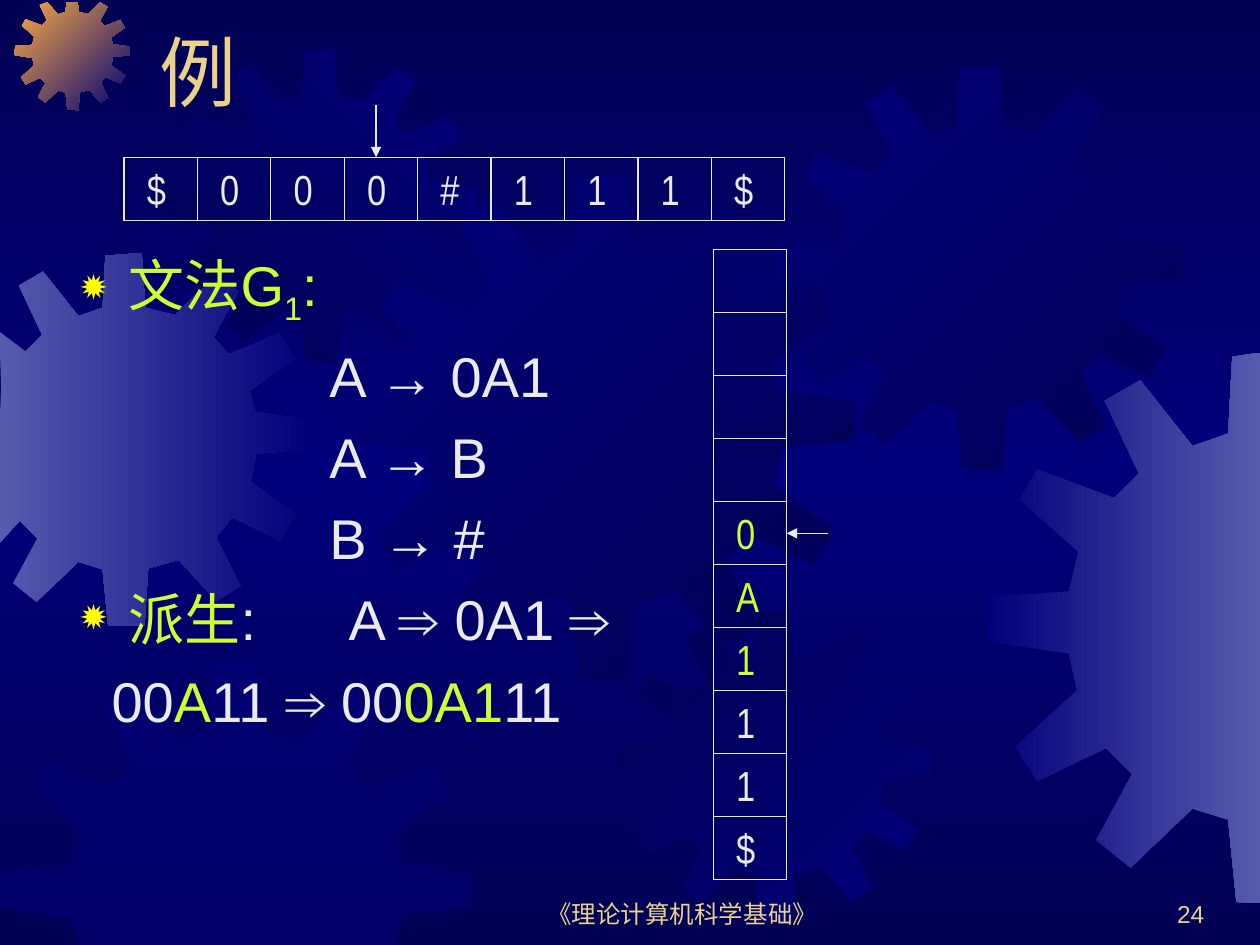
from copy import deepcopy
from typing import NamedTuple, Optional

from lxml import etree
from pptx import Presentation
from pptx import util as u
from pptx.dml.color import RGBColor
from pptx.enum import shapes, text
from pptx.oxml.ns import qn

HUES = {
    "dark": "000054", "navy": "00007A", "steel": "555BAD", "amber": "FCAB40",
    "sand": "EBD189", "lime": "CCFF33", "pale": "EAEAEA", "sun": "FFFF00",
}
WIDE, HIGH = 25.4, 19.05
CELL_W, CELL_H = 1.48, 1.27
ROW_X, ROW_Y = 2.5, 3.17
STACK_X, STACK_Y = 14.38, 5.03

TEETH = [
    (255, 67), (223, 59), (219, 0), (180, 3), (177, 59), (151, 68),
    (113, 20), (87, 35), (112, 88), (94, 106), (38, 85), (25, 107),
    (68, 145), (61, 174), (1, 178), (0, 210), (61, 219), (67, 246),
    (22, 287), (38, 312), (88, 288), (107, 307), (81, 355), (106, 375),
    (151, 332), (177, 340), (183, 400), (222, 401), (226, 339), (259, 330),
    (299, 374), (325, 358), (299, 306), (316, 284), (368, 309), (384, 281),
    (336, 246), (342, 216), (401, 210), (400, 180), (341, 171), (335, 148),
    (383, 114), (367, 87), (313, 109), (296, 91), (323, 41), (297, 25),
]
SPAN = 401


class Gear(NamedTuple):
    x: float
    y: float
    size: float
    start: str
    end: Optional[str] = None
    turn: int = 0


class Label(NamedTuple):
    x: float
    y: float
    w: float
    h: float
    words: str
    size: int
    align: text.PP_ALIGN


class Line(NamedTuple):
    runs: list
    left: float
    bullet: bool = False
    tab: Optional[float] = None


class Arrow(NamedTuple):
    x1: float
    y1: float
    x2: float
    y2: float


GEARS = [
    Gear(-1.25, 5.1, 7.52, "steel", "navy"),
    Gear(0.3, -0.1, 2.32, "amber", "navy", 45),
    Gear(3.3, 0.99, 6.3, "dark", "navy", 315),
    Gear(7.04, 3.53, 10.2, "navy", "dark", 45),
    Gear(0, 13.33, 9.5, "navy"),
    Gear(12.47, 12.29, 6.3, "dark", "navy", 45),
    Gear(15.7, 1.35, 8.13, "navy", "dark", 45),
    Gear(19.86, 7.11, 11.1, "navy", "steel"),
]
LABELS = [
    Label(9.73, 17.58, 8.05, 1.27, "《理论计算机科学基础》", 14, text.PP_ALIGN.CENTER),
    Label(19.25, 17.58, 5.28, 1.27, "24", 14, text.PP_ALIGN.RIGHT),
    Label(2.97, -0.69, 21.59, 3.18, "例", 44, text.PP_ALIGN.LEFT),
]
LINES = [
    Line([("文法G", "lime"), ("1", "lime"), (":", "lime")], 0.97, True),
    Line([("A → 0A1", "pale")], 5.02),
    Line([("A → B", "pale")], 5.02),
    Line([("B → #", "pale")], 5.02),
    Line([("派生", "lime"), (":\tA ⇒ 0A1 ⇒", "pale")], 0.97, True, 5.41),
    Line([("00", "pale"), ("A", "lime"), ("11 ⇒ 00", "pale"),
          ("0A1", "lime"), ("11", "pale")], 0.63),
]
TAPE = "$000#111$"
STACK = [("", "pale")] * 4 + [(c, "lime") for c in "0A1"] + [(c, "pale") for c in "11$"]
ARROWS = [Arrow(7.58, 2.11, 7.58, ROW_Y), Arrow(16.69, 10.75, 15.86, 10.75)]


def hue(name: str) -> RGBColor:
    return RGBColor.from_string(HUES[name])


def style(run, size: int, color: str, face: str = "Arial") -> None:
    run.font.size = u.Pt(size)
    run.font.name = face
    run.font.color.rgb = hue(color)


def blend(fill, start: str, end: str, turn: int) -> None:
    fill.gradient()
    fill.gradient_angle = -turn % 360
    for stop, name, spot in zip(fill.gradient_stops, (start, end), (0, 1)):
        stop.color.rgb = hue(name)
        stop.position = spot


def paint_back(slide) -> None:
    blend(slide.background.fill, "dark", "navy", 90)
    stops = slide.element.find(".//" + qn("a:gsLst"))
    stops[1].set("pos", "50000")
    last = deepcopy(stops[0])
    last.set("pos", "100000")
    stops.append(last)


def draw_gear(slide, gear: Gear) -> None:
    unit = gear.size / SPAN
    spots = [
        (u.Cm(min(max(gear.x + px * unit, 0), WIDE)),
         u.Cm(min(max(gear.y + py * unit, 0.05), HIGH)))
        for px, py in TEETH
    ]
    pen = slide.shapes.build_freeform(*spots[0])
    pen.add_line_segments(spots[1:], close=True)
    shape = pen.convert_to_shape()
    shape.shadow.inherit = False
    shape.line.fill.background()
    if gear.end:
        blend(shape.fill, gear.start, gear.end, gear.turn)
    else:
        shape.fill.solid()
        shape.fill.fore_color.rgb = hue(gear.start)
        tint = shape.element.spPr.find(qn("a:solidFill"))[0]
        etree.SubElement(tint, qn("a:alpha"), val="50000")


def draw_label(slide, label: Label) -> None:
    box = slide.shapes.add_textbox(*map(u.Cm, label[:4]))
    frame = box.text_frame
    frame.word_wrap = True
    frame.vertical_anchor = text.MSO_ANCHOR.BOTTOM
    frame.text = label.words
    para = frame.paragraphs[0]
    para.alignment = label.align
    style(para.runs[0], label.size, "sand")


def set_indent(para, line: Line) -> None:
    props = para._p.get_or_add_pPr()
    props.set("marL", str(u.Cm(line.left)))
    props.set("indent", str(u.Cm(-0.97 if line.bullet else 0)))
    if line.bullet:
        tint = etree.SubElement(props, qn("a:buClr"))
        etree.SubElement(tint, qn("a:srgbClr"), val=HUES["sun"])
        etree.SubElement(props, qn("a:buSzPct"), val="80000")
        etree.SubElement(props, qn("a:buChar"), char="✹")
    else:
        etree.SubElement(props, qn("a:buNone"))
    if line.tab:
        tabs = etree.SubElement(props, qn("a:tabLst"))
        etree.SubElement(tabs, qn("a:tab"), pos=str(u.Cm(line.tab)), algn="l")


def draw_body(slide) -> None:
    frame = slide.shapes.add_textbox(*map(u.Cm, (1.42, 4.93, 12.5, 12.62))).text_frame
    frame.word_wrap = True
    frame.margin_left = u.Cm(0.2)
    for i, line in enumerate(LINES):
        para = frame.add_paragraph() if i else frame.paragraphs[0]
        set_indent(para, line)
        if i:
            para.space_before = u.Pt(8)
        for words, color in line.runs:
            run = para.add_run()
            run.text = words
            style(run, 32, color)
    sub = frame.paragraphs[0].runs[1]
    sub.font._element.set("baseline", "-25000")


def draw_cell(slide, x: float, y: float, sign: str, color: str) -> None:
    box = slide.shapes.add_shape(
        shapes.MSO_SHAPE.RECTANGLE, *map(u.Cm, (x, y, CELL_W, CELL_H)))
    box.shadow.inherit = False
    box.fill.background()
    box.line.color.rgb = hue("pale")
    box.line.width = u.Pt(0.75)
    if sign:
        frame = box.text_frame
        frame.margin_left = u.Cm(0.46)
        frame.margin_right = 0
        frame.vertical_anchor = text.MSO_ANCHOR.MIDDLE
        frame.text = sign
        para = frame.paragraphs[0]
        para.alignment = text.PP_ALIGN.LEFT
        style(para.runs[0], 24, color, "Arial Narrow")


def draw_arrow(slide, arrow: Arrow) -> None:
    link = slide.shapes.add_connector(shapes.MSO_CONNECTOR.STRAIGHT, *map(u.Cm, arrow))
    link.line.color.rgb = hue("pale")
    link.line.width = u.Pt(0.75)
    etree.SubElement(link.line._get_or_add_ln(), qn("a:tailEnd"), type="triangle")
    etree.SubElement(link._element.spPr, qn("a:effectLst"))


def main() -> None:
    deck = Presentation()
    deck.slide_width, deck.slide_height = u.Cm(WIDE), u.Cm(HIGH)
    slide = deck.slides.add_slide(deck.slide_layouts[6])
    paint_back(slide)
    for gear in GEARS:
        draw_gear(slide, gear)
    for label in LABELS:
        draw_label(slide, label)
    draw_body(slide)
    for i, sign in enumerate(TAPE):
        draw_cell(slide, ROW_X + i * CELL_W, ROW_Y, sign, "pale")
    for i, (sign, color) in enumerate(STACK):
        draw_cell(slide, STACK_X, STACK_Y + i * CELL_H, sign, color)
    for arrow in ARROWS:
        draw_arrow(slide, arrow)
    deck.save("out.pptx")


if __name__ == "__main__":
    main()
